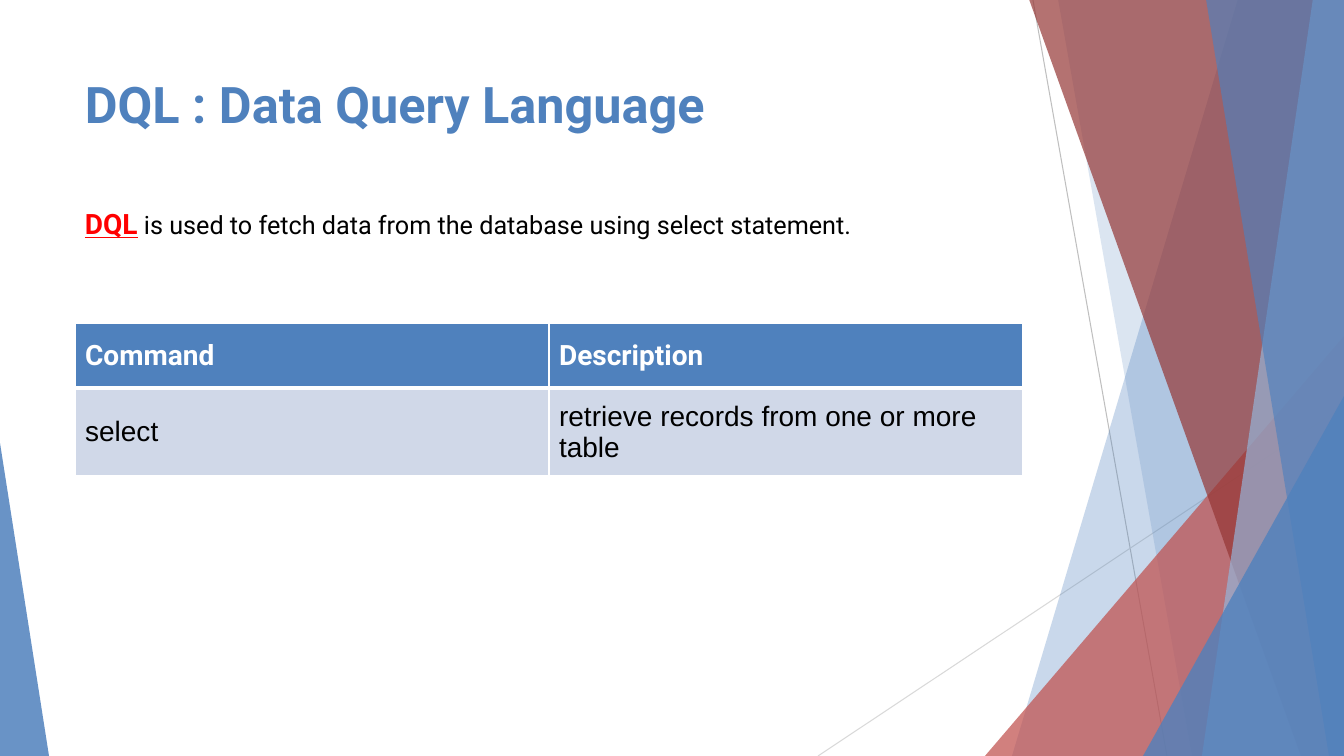
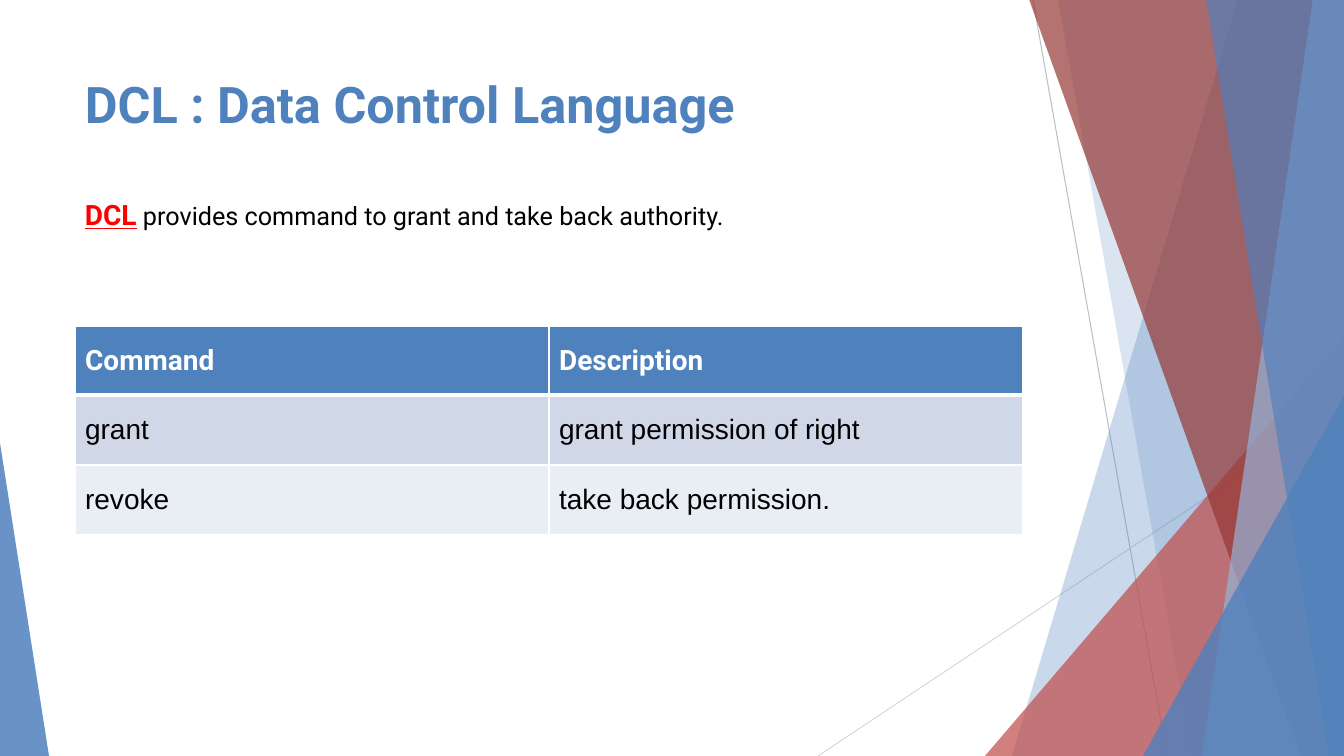
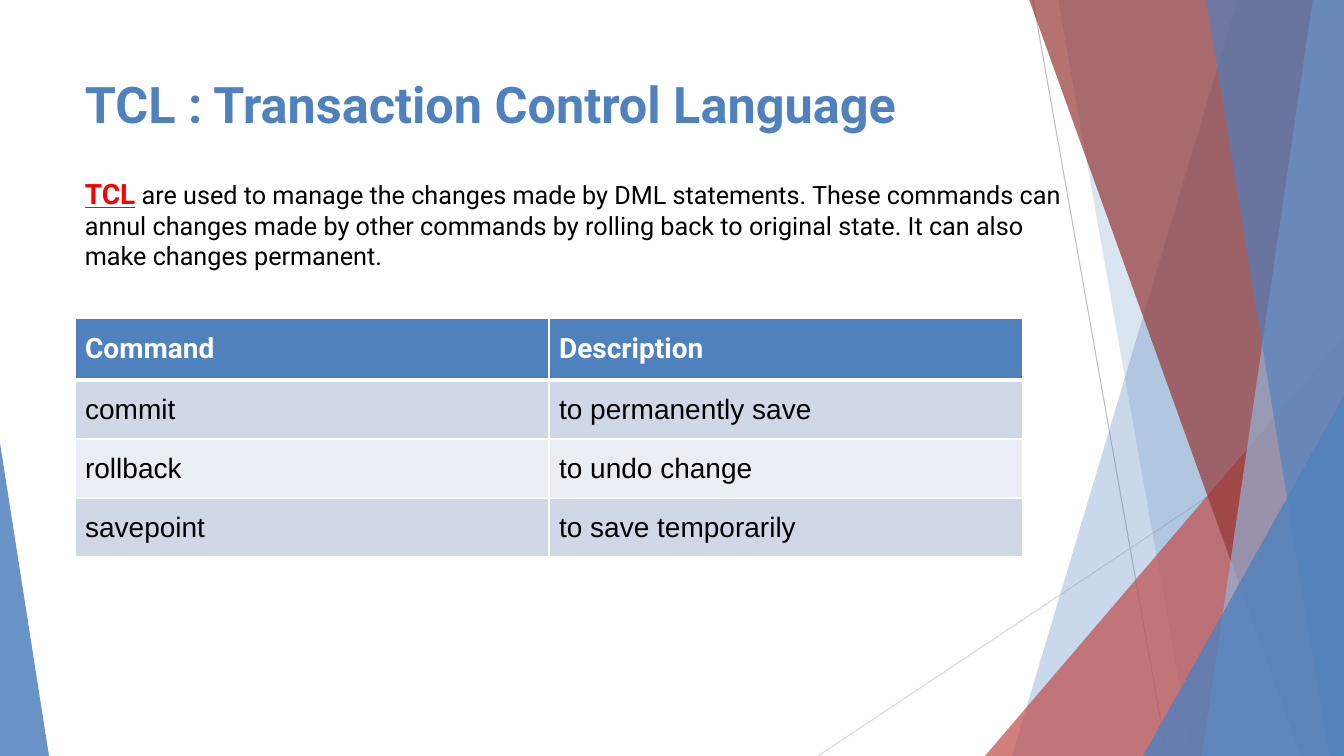
from pptx import Presentation
from pptx import util as u
from pptx.dml import color
from pptx.enum import shapes, text
from pptx.oxml import ns, xmlchemy

SCALE = 914400 / 100.8
WIDTH, HEIGHT = 1344, 756
LEFT = 75
COLUMN = 474

BLUE, PALE_BLUE = "4F81BD", "95B3D7"
RED, DARK_RED, BRIGHT_RED = "C0504D", "953735", "FF0000"
WHITE, BLACK = "FFFFFF", "000000"
BANDS = ("D0D8E8", "E9EDF4")
HEADER = ("Command", "Description")

# Start, end, colour
RULES = [
    ((1033, 0), (1167, HEIGHT), "BFBFBF"),
    ((WIDTH, 406), (818, HEIGHT), "D9D9D9"),
]
# Left edge at the top, left edge at the bottom, colour, opacity in percent
BACK_RIBBONS = [(1238, 1012, BLUE, 30), (1058, 1192, BLUE, 20)]
FRONT_RIBBONS = [
    (1029, 1301, DARK_RED, 70),
    (1313, 1202, PALE_BLUE, 70),
    (1206, 1329, BLUE, 65),
]

# Title, intro term, intro rest, intro frame, table top, row heights, rows
PAGES = [
    ("DQL : Data Query Language", "DQL",
     " is used to fetch data from the database using select statement.",
     (LEFT, 202, 926, 44), 323, (65, 88),
     [("select", "retrieve records from one or more table")]),
    ("DCL : Data Control Language", "DCL",
     " provides command to grant and take back authority.",
     (LEFT, 193, 677, 44), 326, (69, 70, 70),
     [("grant", "grant permission of right"),
      ("revoke", "take back permission.")]),
    ("TCL : Transaction Control Language", "TCL",
     " are used to manage the changes made by DML statements. These commands can "
     "annul changes made by other commands by rolling back to original state. "
     "It can also make changes permanent.",
     (LEFT, 172, 1015, 105), 318, (62, 59, 59, 59),
     [("commit", "to permanently save"),
      ("rollback", "to undo change"),
      ("savepoint", "to save temporarily")]),
]


def px(*lengths):
    """Turn pixel lengths into a list of EMU."""
    return [u.Emu(round(length * SCALE)) for length in lengths]


def rgb(value):
    """Turn a hex string into a colour."""
    return color.RGBColor.from_string(value)


def style(font, size, ink, bold=False, name=None):
    """Set size, colour, weight and, if given, the typeface of a font."""
    font.size = u.Pt(size)
    font.bold = bold
    font.color.rgb = rgb(ink)
    if name:
        font.name = name


def paint(shape, ink, opacity):
    """Give a shape a see-through fill without outline or shadow."""
    shape.shadow.inherit = False
    shape.line.fill.background()
    shape.fill.solid()
    shape.fill.fore_color.rgb = rgb(ink)
    tint = shape._element.spPr.find(".//" + ns.qn("a:srgbClr"))
    alpha = xmlchemy.OxmlElement("a:alpha")
    alpha.set("val", str(opacity * 1000))
    tint.append(alpha)


def add_rule(group, start, end, ink):
    """Draw a thin straight line."""
    rule = group.shapes.add_connector(
        shapes.MSO_CONNECTOR.STRAIGHT, *px(*start, *end))
    rule.line.width = u.Pt(0.75)
    rule.line.color.rgb = rgb(ink)
    rule._element.spPr.append(xmlchemy.OxmlElement("a:effectLst"))


def add_ribbon(group, top_left, bottom_left, ink, opacity):
    """Draw a full-height ribbon that reaches the right edge."""
    outline = group.shapes.build_freeform(top_left, -1, scale=SCALE)
    outline.add_line_segments(
        [(WIDTH, -1), (WIDTH, HEIGHT), (bottom_left, HEIGHT)], close=True)
    paint(outline.convert_to_shape(), ink, opacity)


def add_corner(group, left, top, width, apex, ink, opacity):
    """Draw a triangle standing on the bottom edge; apex runs from 0 to 1."""
    corner = group.shapes.add_shape(
        shapes.MSO_SHAPE.ISOSCELES_TRIANGLE, *px(left, top, width, HEIGHT - top))
    corner.adjustments[0] = apex
    paint(corner, ink, opacity)


def add_backdrop(page):
    """Draw the decoration shared by every slide."""
    group = page.shapes.add_group_shape()
    for rule in RULES:
        add_rule(group, *rule)
    for ribbon in BACK_RIBBONS:
        add_ribbon(group, *ribbon)
    add_corner(group, 985, 336, 359, 1, RED, 72)
    for ribbon in FRONT_RIBBONS:
        add_ribbon(group, *ribbon)
    add_corner(group, 1143, 396, 201, 1, BLUE, 80)
    add_corner(group, 0, 443, 49, 0, BLUE, 85)


def add_text(page, frame):
    """Add a wrapping, top-anchored text box and return its paragraph."""
    box = page.shapes.add_textbox(*px(*frame))
    box.text_frame.word_wrap = True
    box.text_frame.vertical_anchor = text.MSO_ANCHOR.TOP
    return box.text_frame.paragraphs[0]


def add_title(page, title):
    """Write the slide title."""
    para = add_text(page, (LEFT, 68, 948, 145))
    para.text = title
    style(para.font, 36, BLUE, True, "Roboto")


def add_intro(page, term, rest, frame):
    """Write the intro, which opens with an underlined red term."""
    para = add_text(page, frame)
    para.font.name = "Roboto"
    lead, tail = para.add_run(), para.add_run()
    lead.text, tail.text = term, rest
    style(lead.font, 20, BRIGHT_RED, True)
    lead.font.underline = True
    style(tail.font, 18, BLACK)


def set_borders(cell, top, bottom):
    """Give a cell white borders: 1 pt at the sides, top and bottom as told."""
    props = cell._tc.get_or_add_tcPr()
    widths = {"a:lnL": 1, "a:lnR": 1, "a:lnT": top, "a:lnB": bottom}
    for place, (tag, points) in enumerate(widths.items()):
        border = xmlchemy.OxmlElement(tag)
        border.set("w", str(u.Pt(points)))
        fill = xmlchemy.OxmlElement("a:solidFill")
        tint = xmlchemy.OxmlElement("a:srgbClr")
        tint.set("val", WHITE)
        fill.append(tint)
        border.append(fill)
        props.insert(place, border)


def add_commands(page, top, heights, rows):
    """Add the table of commands under a blue header row."""
    frame = page.shapes.add_table(
        len(heights), len(HEADER),
        *px(LEFT, top, COLUMN * len(HEADER), sum(heights)))
    table = frame.table
    for column in table.columns:
        column.width = px(COLUMN)[0]
    for r, (height, words) in enumerate(zip(heights, [HEADER, *rows])):
        table.rows[r].height = px(height)[0]
        for c, word in enumerate(words):
            cell = table.cell(r, c)
            cell.vertical_anchor = text.MSO_ANCHOR.MIDDLE
            cell.fill.solid()
            cell.fill.fore_color.rgb = rgb(BANDS[(r - 1) % 2] if r else BLUE)
            set_borders(cell, 3 if r == 1 else 1, 1 if r else 3)
            para = cell.text_frame.paragraphs[0]
            para.text = word
            if r:
                style(para.font, 20, BLACK, False, "Arial")
            else:
                style(para.font, 20, WHITE, True, "Roboto")


def main():
    """Build and save the deck."""
    deck = Presentation()
    deck.slide_width, deck.slide_height = px(WIDTH, HEIGHT)
    for title, term, rest, frame, top, heights, rows in PAGES:
        page = deck.slides.add_slide(deck.slide_layouts[6])
        add_backdrop(page)
        add_title(page, title)
        add_commands(page, top, heights, rows)
        add_intro(page, term, rest, frame)
    deck.save("out.pptx")


main()
